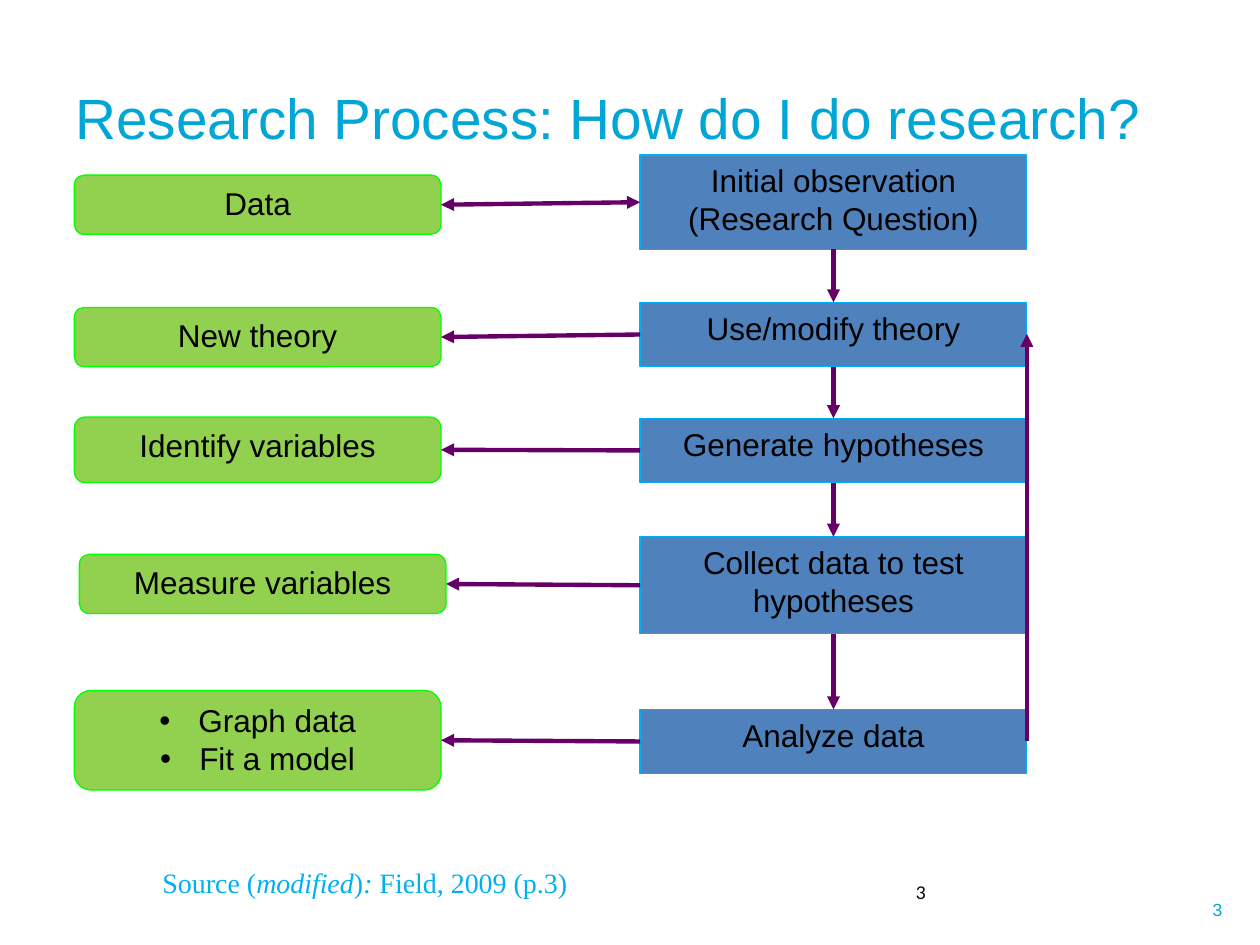
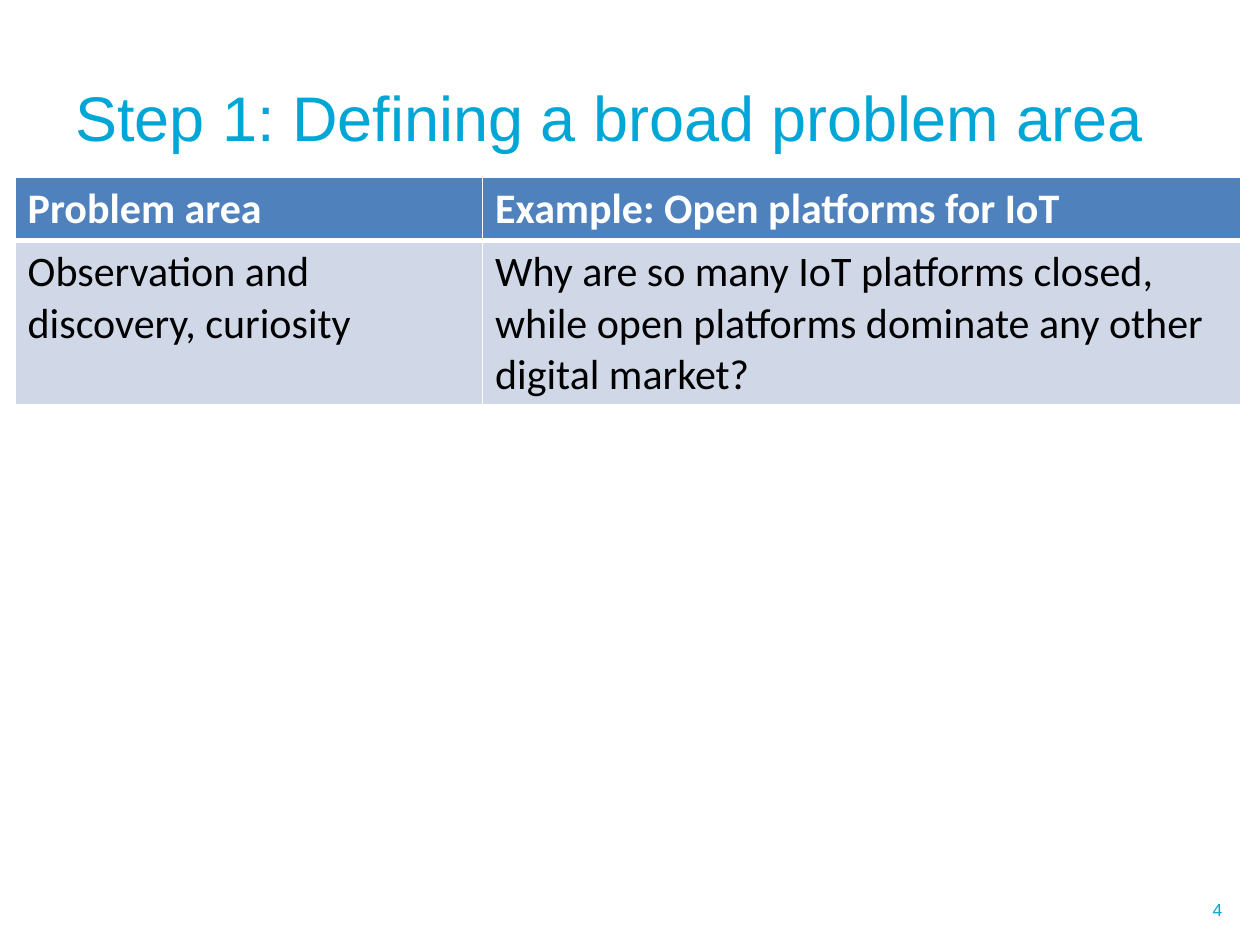
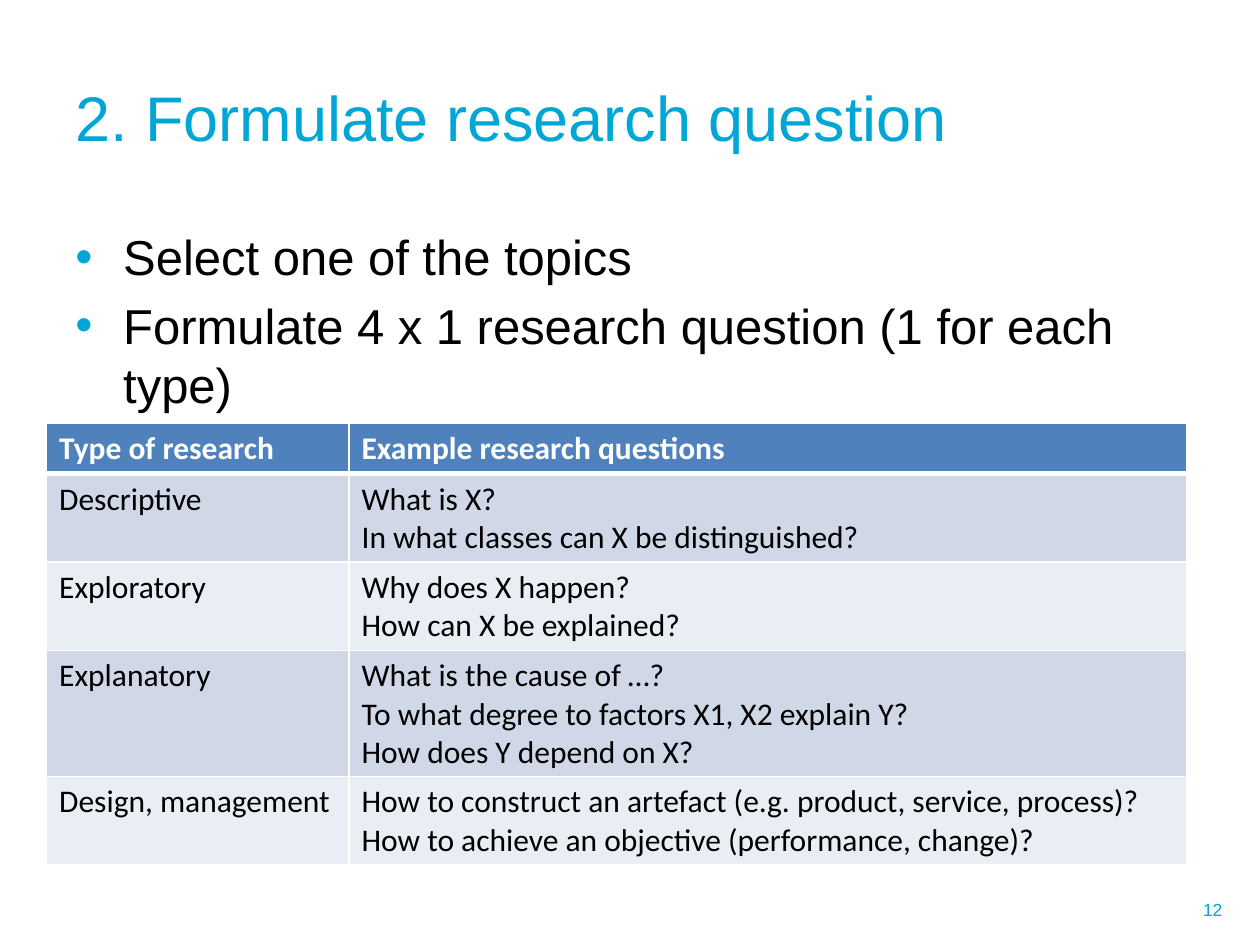
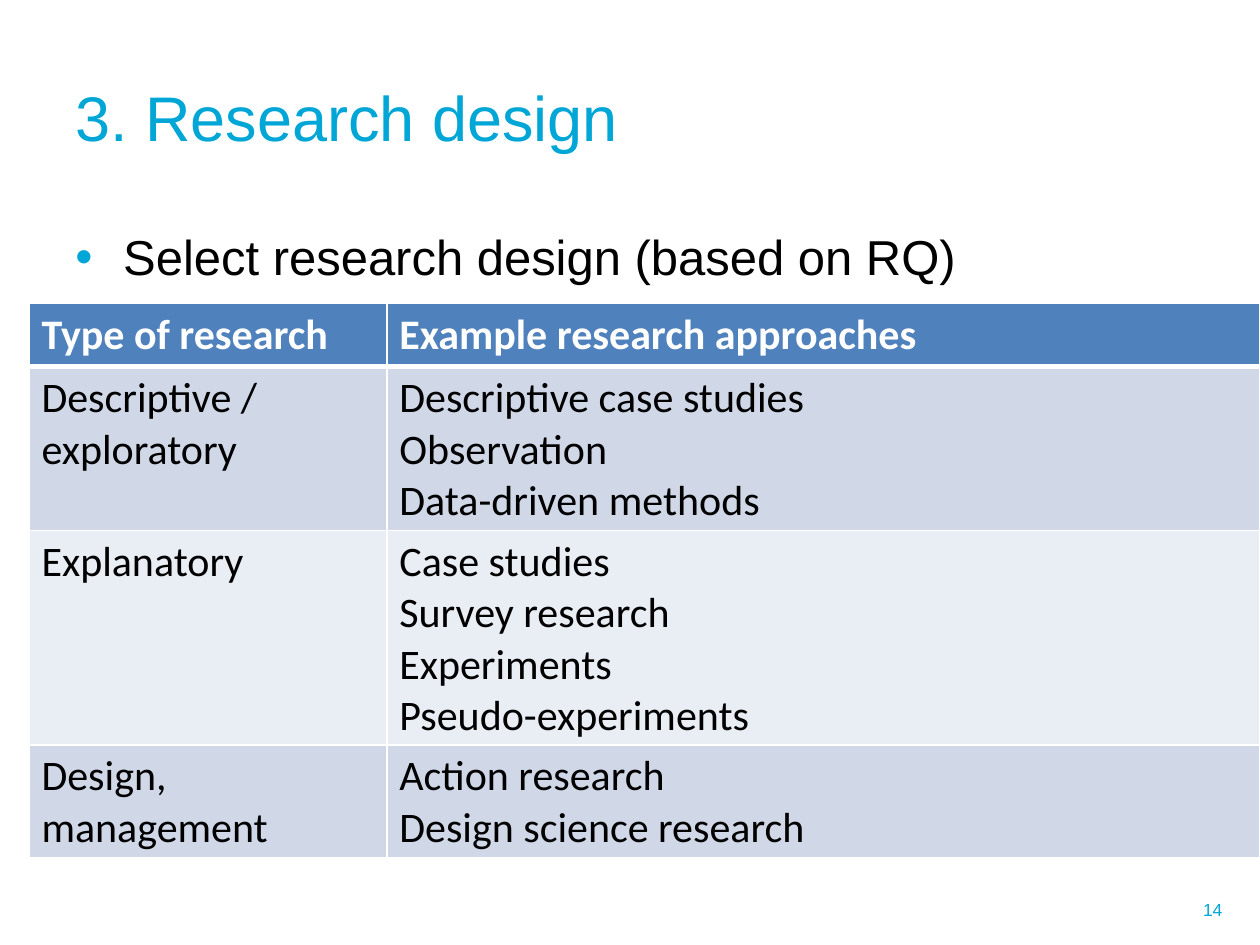
import dataclasses

import lxml.etree
import pptx
import pptx.dml.color
import pptx.enum.shapes
import pptx.enum.text
import pptx.oxml.ns
import pptx.util

Inches = pptx.util.Inches
Pt = pptx.util.Pt
qn = pptx.oxml.ns.qn
SubElement = lxml.etree.SubElement
Align = pptx.enum.text.PP_ALIGN
Anchor = pptx.enum.text.MSO_ANCHOR
Shape = pptx.enum.shapes.MSO_SHAPE
Connector = pptx.enum.shapes.MSO_CONNECTOR
rgb = pptx.dml.color.RGBColor.from_string


@dataclasses.dataclass(frozen=True)
class Theme:
    accent: str = "00A6D6"
    text: str = "000000"
    white: str = "FFFFFF"
    blue: str = "4F81BD"
    blue_edge: str = "00B0F0"
    green: str = "92D050"
    green_edge: str = "00FF00"
    arrow: str = "660066"
    bands: tuple = ("D0D8E8", "E9EDF4")
    font: str = "Arial"
    table_font: str = "Calibri"
    source_font: str = "Times New Roman"
    number_font: str = "Lato"
    title_size: float = 36
    body_size: float = 28
    box_size: float = 18
    source_size: float = 16
    number_size: float = 10


theme = Theme()


def write(frame, text, size, colour=theme.text, font=theme.font, align=None, bold=None):
    """Fill a text frame, one paragraph a line, and format its runs."""
    frame.word_wrap = True
    frame.text = text
    for para in frame.paragraphs:
        para.alignment = align
        for span in para.runs:
            span.font.size = Pt(size)
            span.font.name = font
            span.font.bold = bold
            span.font.color.rgb = rgb(colour)


def add_bullet(para, indent, colour=theme.text):
    """Give a paragraph a hanging bullet."""
    properties = para._p.get_or_add_pPr()
    properties.set("marL", str(Inches(indent)))
    properties.set("indent", str(-Inches(indent)))
    bullet_colour = SubElement(properties, qn("a:buClr"))
    SubElement(bullet_colour, qn("a:srgbClr"), val=colour)
    SubElement(properties, qn("a:buFont"), typeface=theme.font)
    SubElement(properties, qn("a:buChar"), char="•")


deck = pptx.Presentation()
deck.slide_width = Inches(10)
deck.slide_height = Inches(7.5)

# Titles, page numbers and bulleted bodies
outline = [
    ("3", "Research Process: How do I do research?", 32.4, ""),
    ("4", "Step 1: Defining a broad problem area", theme.title_size, ""),
    ("12", "2. Formulate research question", theme.title_size,
     "Select one of the topics\nFormulate 4 x 1 research question (1 for each type)"),
    ("14", "3. Research design", theme.title_size, "Select research design (based on RQ)"),
]
pages = []
for number, title, title_size, body in outline:
    page = deck.slides.add_slide(deck.slide_layouts[6])
    pages.append(page)
    box = page.shapes.add_textbox(Inches(7.27), Inches(7.02), Inches(2.53), Inches(0.4))
    box.text_frame.vertical_anchor = Anchor.MIDDLE
    write(box.text_frame, number, theme.number_size, theme.accent, align=Align.RIGHT)
    box = page.shapes.add_textbox(Inches(0.5), Inches(0.3), Inches(9.14), Inches(1.25))
    box.text_frame.vertical_anchor = Anchor.MIDDLE
    write(box.text_frame, title, title_size, theme.accent)
    if body:
        box = page.shapes.add_textbox(Inches(0.5), Inches(1.75), Inches(9.14), Inches(4.95))
        write(box.text_frame, body, theme.body_size)
        for para in box.text_frame.paragraphs:
            para.space_before = Pt(theme.body_size * 0.2)
            add_bullet(para, 0.38, theme.accent)

# Research process: each step (text, top, height) with its outcome (text, left, top, height)
process = pages[0]
flow = [
    (("Initial observation (Research Question)", 1.23, 0.75), ("Data", 0.59, 1.39, 0.47)),
    (("Use/modify theory", 2.4, 0.51), ("New theory", 0.59, 2.44, 0.47)),
    (("Generate hypotheses", 3.32, 0.51), ("Identify variables", 0.59, 3.31, 0.52)),
    (("Collect data to test hypotheses", 4.26, 0.77), ("Measure variables", 0.63, 4.4, 0.47)),
    (("Analyze data", 5.63, 0.51), ("Graph data\nFit a model", 0.59, 5.48, 0.79)),
]
steps, outcomes = [], []
for (step, step_top, step_height), (outcome, left, top, height) in flow:
    for group, kind, fill, edge, text, place in (
        (steps, Shape.RECTANGLE, theme.blue, theme.blue_edge, step,
         (5.08, step_top, 3.07, step_height)),
        (outcomes, Shape.ROUNDED_RECTANGLE, theme.green, theme.green_edge, outcome,
         (left, top, 2.91, height)),
    ):
        box = process.shapes.add_shape(kind, *map(Inches, place))
        box.shadow.inherit = False
        box.fill.solid()
        box.fill.fore_color.rgb = rgb(fill)
        box.line.color.rgb = rgb(edge)
        box.line.width = Pt(0.75)
        box.text_frame.vertical_anchor = Anchor.TOP
        write(box.text_frame, text, theme.box_size, align=Align.CENTER)
        group.append(box)
for para in outcomes[-1].text_frame.paragraphs:
    add_bullet(para, 0.31)

# Arrows: step to outcome, step to next step, and the way back to theory
links = [(step, 1, outcome, 3) for step, outcome in zip(steps, outcomes)]
links += [(step, 2, following, 0) for step, following in zip(steps, steps[1:])]
arrows = []
for start, start_side, end, end_side in links:
    arrow = process.shapes.add_connector(Connector.STRAIGHT, 0, 0, 0, 0)
    arrow.begin_connect(start, start_side)
    arrow.end_connect(end, end_side)
    arrows.append(arrow)
arrows.append(process.shapes.add_connector(
    Connector.ELBOW, Inches(8.15), Inches(5.88), Inches(8.15), Inches(2.65)))
for arrow in arrows:
    arrow.line.color.rgb = rgb(theme.arrow)
    arrow.line.width = Pt(2.5)
    line = arrow.line._get_or_add_ln()
    if arrow is arrows[0]:
        SubElement(line, qn("a:headEnd"), type="triangle")
    SubElement(line, qn("a:tailEnd"), type="triangle")
    SubElement(arrow._element.spPr, qn("a:effectLst"))

# Source line and second page number
box = process.shapes.add_textbox(Inches(0.35), Inches(6.82), Inches(4.25), Inches(0.37))
box.text_frame.word_wrap = True
para = box.text_frame.paragraphs[0]
para.alignment = Align.RIGHT
for index, text in enumerate(["Source (", "modified", ")", ":", " Field, 2009 (p.3)"]):
    span = para.add_run()
    span.text = text
    span.font.size = Pt(theme.source_size)
    span.font.name = theme.source_font
    span.font.italic = index % 2 == 1
    span.font.color.rgb = rgb(theme.blue_edge)
box = process.shapes.add_textbox(Inches(7.17), Inches(6.95), Inches(2.33), Inches(0.4))
write(box.text_frame, "3", theme.number_size, font=theme.number_font)

# Tables: page, place, text size, column widths, row heights, rows
tables = [
    (pages[1], (0.12, 1.41, 9.73, 1.8), 24, (3.71, 6.02), (0.41, 0.41), [
        ("Problem area", "Example: Open platforms for IoT"),
        ("Observation and discovery, curiosity",
         "Why are so many IoT platforms closed, while open platforms dominate "
         "any other digital market?"),
    ]),
    (pages[2], (0.37, 3.36, 9.05, 3.5), 18, (2.4, 6.65), (0.14, 0.25, 0.25, 0.36, 0.39), [
        ("Type of research", "Example research questions"),
        ("Descriptive", "What is X?\nIn what classes can X be distinguished?"),
        ("Exploratory", "Why does X happen?\nHow can X be explained?"),
        ("Explanatory", "What is the cause of …?\n"
         "To what degree to factors X1, X2 explain Y?\nHow does Y depend on X?"),
        ("Design, management", "How to construct an artefact (e.g. product, service, process)?\n"
         "How to achieve an objective (performance, change)?"),
    ]),
    (pages[3], (0.23, 2.41, 9.77, 4.4), 24, (2.84, 6.93), (0.33, 1.11, 1.11, 0.59), [
        ("Type of research", "Example research approaches"),
        ("Descriptive / exploratory",
         "Descriptive case studies\nObservation\nData-driven methods"),
        ("Explanatory", "Case studies\nSurvey research\nExperiments\nPseudo-experiments"),
        ("Design, management", "Action research\nDesign science research"),
    ]),
]
for page, place, size, widths, heights, rows in tables:
    frame = page.shapes.add_table(len(rows), len(widths), *map(Inches, place))
    table = frame.table
    for column, width in zip(table.columns, widths):
        column.width = Inches(width)
    for row_index, (height, texts) in enumerate(zip(heights, rows)):
        table.rows[row_index].height = Inches(height)
        header = row_index == 0
        fill = theme.blue if header else theme.bands[(row_index - 1) % 2]
        for cell, text in zip(table.rows[row_index].cells, texts):
            write(cell.text_frame, text, size, theme.white if header else theme.text,
                  theme.table_font, bold=header)
            properties = cell._tc.get_or_add_tcPr()
            for side in ("L", "R", "T", "B"):
                thick = (row_index, side) in ((0, "B"), (1, "T"))
                border = SubElement(properties, qn("a:ln" + side), w=str(Pt(3 if thick else 1)))
                border_fill = SubElement(border, qn("a:solidFill"))
                SubElement(border_fill, qn("a:srgbClr"), val=theme.white)
            cell.fill.solid()
            cell.fill.fore_color.rgb = rgb(fill)
    frame.height = Inches(place[3])

deck.save("out.pptx")
